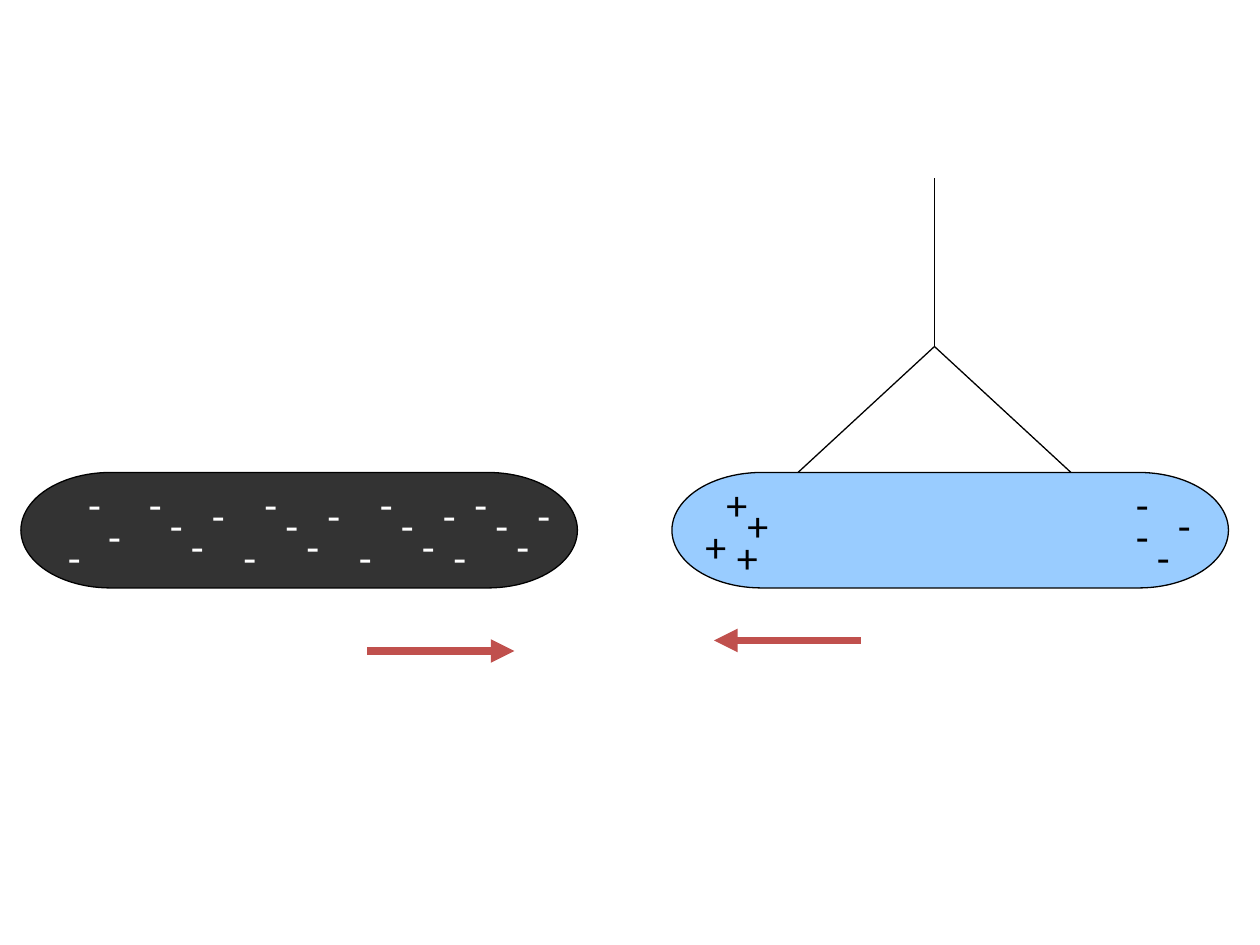
from lxml import etree
from pptx import Presentation
from pptx import util as u
from pptx.dml.color import RGBColor
from pptx.enum import shapes, text
from pptx.oxml.ns import qn

COLUMNS, ROWS = 120, 90
ROD_TOP, ROD_WIDTH, ROD_HEIGHT = 45, 53, 11
LEFT_ROD, RIGHT_ROD = 2, 64
KNOT = (89, 33)

# Column and row steps of the charges in one repeated cluster.
CLUSTER = [(4, 2), (6, 4), (2, 0), (0, 5), (8, 1)]
CLUSTER_COLUMNS = [42, 22, 33]
LEFT_END_CHARGES = [(15, 47), (17, 49), (13, 45), (9.12, 48),
                    (19, 46), (7.2, 45), (5.28, 50)]
POSITIVE_CHARGES = [(68, 45), (70, 47), (69, 50), (66, 49)]
NEGATIVE_CHARGES = [(107, 48), (109, 50), (107, 45), (111, 47)]


def color(value):
    return RGBColor.from_string(value)


class Diagram:
    """Draws on one slide; lengths are grid columns and rows."""

    black, white = "000000", "FFFFFF"
    dark, blue, red = "333333", "99CCFF", "C0504D"
    font = {"name": "Calibri", "size": u.Pt(24)}
    frame = {"word_wrap": False, "auto_size": text.MSO_AUTO_SIZE.SHAPE_TO_FIT_TEXT}
    sign_widths = {"-": 3.7, "+": 4.8}
    sign_height = 6

    def __init__(self, presentation):
        self.slide = presentation.slides.add_slide(presentation.slide_layouts[6])
        self.column = presentation.slide_width / COLUMNS
        self.row = presentation.slide_height / ROWS

    def place(self, column, row):
        return round(column * self.column), round(row * self.row)

    def rod(self, column, fill):
        shape = self.slide.shapes.add_shape(
            shapes.MSO_SHAPE.FLOWCHART_TERMINATOR,
            *self.place(column, ROD_TOP), *self.place(ROD_WIDTH, ROD_HEIGHT))
        shape.shadow.inherit = False
        shape.fill.solid()
        shape.fill.fore_color.rgb = color(fill)
        shape.line.color.rgb = color(self.black)
        shape.line.width = u.Pt(0.75)

    def charges(self, sign, positions, ink):
        for position in positions:
            box = self.slide.shapes.add_textbox(
                *self.place(*position),
                *self.place(self.sign_widths[sign], self.sign_height))
            for name, value in self.frame.items():
                setattr(box.text_frame, name, value)
            paragraph = box.text_frame.paragraphs[0]
            run = paragraph.add_run()
            run.text = sign
            for name, value in self.font.items():
                setattr(run.font, name, value)
            run.font.color.rgb = color(ink)

    def line(self, start, end, ink=black, width=0.75):
        connector = self.slide.shapes.add_connector(
            shapes.MSO_CONNECTOR.STRAIGHT, *self.place(*start), *self.place(*end))
        connector.line.color.rgb = color(ink)
        connector.line.width = u.Pt(width)
        etree.SubElement(connector._element.spPr, qn("a:effectLst"))
        return connector

    def arrow(self, start, end):
        connector = self.line(start, end, self.red, 4.5)
        outline = connector.line._get_or_add_ln()
        etree.SubElement(outline, qn("a:tailEnd"), type="triangle")


def main():
    presentation = Presentation()
    presentation.slide_width, presentation.slide_height = u.Inches(10), u.Inches(7.5)
    diagram = Diagram(presentation)

    clusters = [(base + column, ROD_TOP + row)
                for base in CLUSTER_COLUMNS for column, row in CLUSTER]
    diagram.rod(LEFT_ROD, diagram.dark)
    diagram.charges("-", clusters + LEFT_END_CHARGES, diagram.white)

    diagram.rod(RIGHT_ROD, diagram.blue)
    diagram.charges("+", POSITIVE_CHARGES, diagram.black)
    diagram.charges("-", NEGATIVE_CHARGES, diagram.black)

    diagram.line((KNOT[0], 17), KNOT)
    for side in (-13, 13):
        diagram.line(KNOT, (KNOT[0] + side, ROD_TOP))

    diagram.arrow((82, 61), (68, 61))
    diagram.arrow((35, 62), (49, 62))
    presentation.save("out.pptx")


if __name__ == "__main__":
    main()
